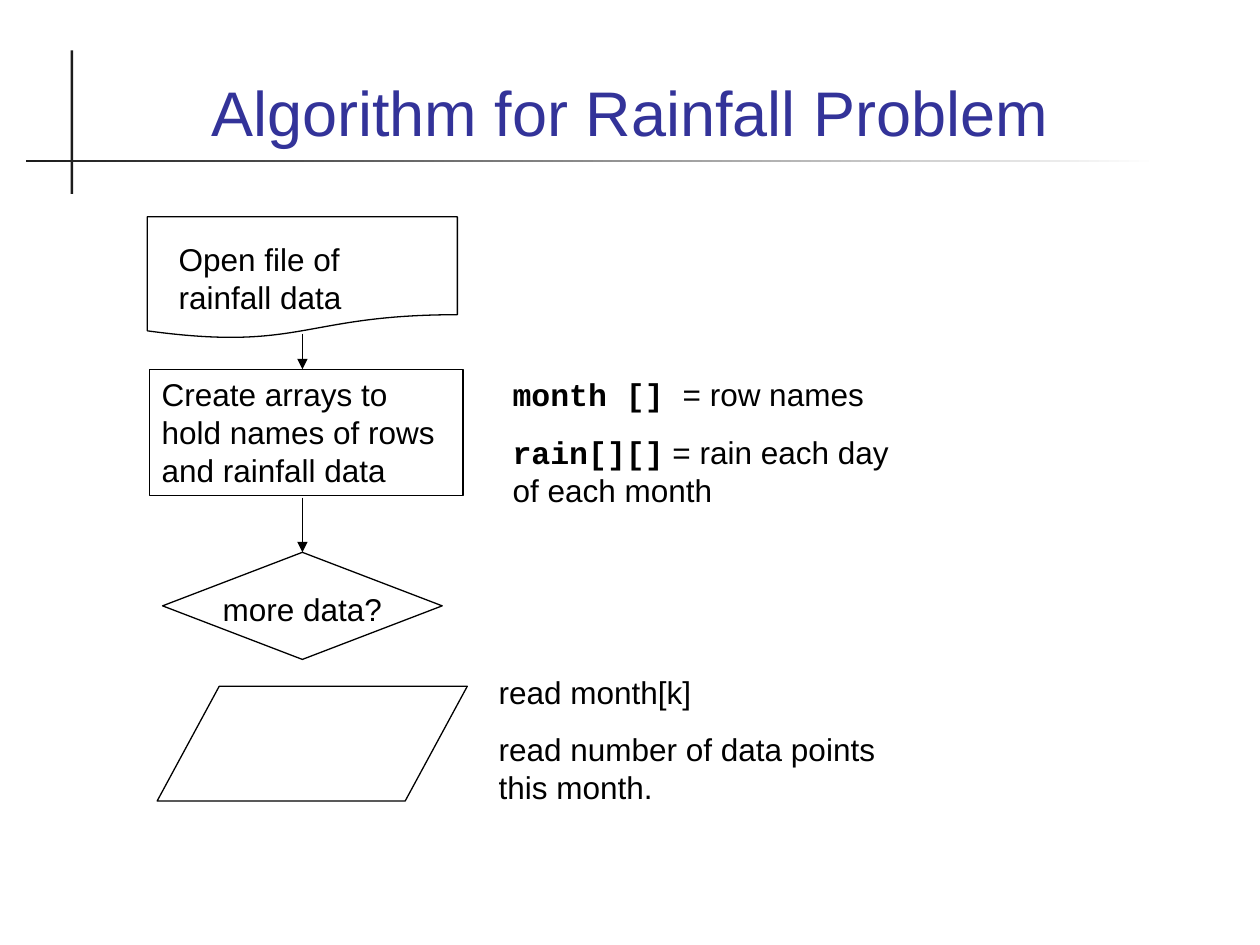
from dataclasses import dataclass

import pptx
import pptx.dml.color
import pptx.enum.shapes
import pptx.enum.text
import pptx.oxml
import pptx.oxml.ns
import pptx.util
from lxml import etree

Pt = pptx.util.Pt
SHAPE = pptx.enum.shapes.MSO_SHAPE
ALIGN = pptx.enum.text.PP_ALIGN
ANCHOR = pptx.enum.text.MSO_ANCHOR
BLACK = "000000"
DARK = "1C1C1C"


@dataclass
class Box:
    x: float
    y: float
    w: float
    h: float

    def emu(self) -> list:
        return [Pt(v) for v in (self.x, self.y, self.w, self.h)]


@dataclass
class Label:
    box: Box
    paragraphs: list
    align: ALIGN = ALIGN.LEFT


def rgb(color: str):
    return pptx.dml.color.RGBColor.from_string(color)


def add_text(tf, paragraphs, size=18, color=BLACK, align=ALIGN.LEFT, anchor=ANCHOR.TOP):
    tf.word_wrap = True
    tf.auto_size = pptx.enum.text.MSO_AUTO_SIZE.NONE
    tf.vertical_anchor = anchor
    for i, runs in enumerate(paragraphs):
        p = tf.add_paragraph() if i else tf.paragraphs[0]
        p.alignment = align
        p.space_before = Pt(11.2 if i else 0)
        for text, font in runs:
            r = p.add_run()
            r.text = text
            r.font.name = font
            r.font.size = Pt(size)
            r.font.bold = font == "Courier New"
            r.font.color.rgb = rgb(color)


def add_step(s, kind: SHAPE, box: Box):
    sp = s.shapes.add_shape(kind, *box.emu())
    sp.shadow.inherit = False
    sp.fill.background()
    sp.line.color.rgb = rgb(BLACK)
    sp.line.width = Pt(0.75)
    return sp


def add_rule(s, box: Box, fade: bool = False):
    sp = s.shapes.add_shape(SHAPE.RECTANGLE, *box.emu())
    sp.shadow.inherit = False
    sp.line.fill.background()
    if fade:
        sp.fill.gradient()
        sp.fill.gradient_angle = 0
        for stop, color in zip(sp.fill.gradient_stops, (DARK, "FFFFFF")):
            stop.color.rgb = rgb(color)
    else:
        sp.fill.solid()
        sp.fill.fore_color.rgb = rgb(DARK)


def add_arrow(s, x: float, top: float, bottom: float):
    c = s.shapes.add_connector(
        pptx.enum.shapes.MSO_CONNECTOR.STRAIGHT, Pt(x), Pt(top), Pt(x), Pt(bottom)
    )
    c.line.color.rgb = rgb(BLACK)
    c.line.width = Pt(0.75)
    qn = pptx.oxml.ns.qn
    etree.SubElement(c.line._get_or_add_ln(), qn("a:tailEnd"), type="triangle")
    etree.SubElement(c._element.spPr, qn("a:effectLst"))
    return c


def add_label(s, label: Label):
    tb = s.shapes.add_textbox(*label.box.emu())
    add_text(tb.text_frame, label.paragraphs, align=label.align)


LABELS = [
    Label(Box(95, 133.9, 154.8, 50.4), [[("Open file of rainfall data", "Arial")]]),
    Label(
        Box(285.8, 211, 231.8, 83.5),
        [
            [("month [] ", "Courier New"), ("= row names", "Arial")],
            [("rain[][]", "Courier New"), (" = rain each day of each month", "Arial")],
        ],
    ),
    Label(Box(96.5, 333.4, 152.6, 28.8), [[("more data?", "Arial")]], ALIGN.CENTER),
    Label(
        Box(277.9, 380.9, 233.3, 83.5),
        [
            [("read month[k]", "Arial")],
            [("read number of data points this month.", "Arial")],
        ],
    ),
]


def main():
    prs = pptx.Presentation()
    prs.slide_width, prs.slide_height = Pt(720), Pt(540)
    s = prs.slides.add_slide(prs.slide_layouts[5])

    add_rule(s, Box(40.3, 28.8, 1.5, 82))
    add_rule(s, Box(15, 91.3, 647.3, 1.6), fade=True)

    title = s.shapes.title
    title.left, title.top, title.width, title.height = Box(48.2, 20.2, 623.5, 68.4).emu()
    add_text(
        title.text_frame,
        [[("Algorithm for Rainfall Problem", "Arial")]],
        size=36,
        color="333399",
        align=ALIGN.CENTER,
        anchor=ANCHOR.BOTTOM,
    )

    add_step(s, SHAPE.FLOWCHART_DOCUMENT, Box(84.2, 123.9, 177.2, 69.8))
    arrays = add_step(s, SHAPE.RECTANGLE, Box(85.3, 211, 179.3, 72))
    add_text(
        arrays.text_frame,
        [[("Create arrays to hold names of rows and rainfall data", "Arial")]],
    )
    decision = add_step(s, SHAPE.FLOWCHART_DECISION, Box(92.9, 315.6, 159.8, 61.2))
    add_step(s, SHAPE.FLOWCHART_DATA, Box(89.8, 392.2, 177.2, 65.5))

    add_arrow(s, 172.8, 190.6, 211)
    add_arrow(s, 172.8, 284.4, 315.6).end_connect(decision, 0)

    for label in LABELS:
        add_label(s, label)

    prs.save("out.pptx")


if __name__ == "__main__":
    main()
